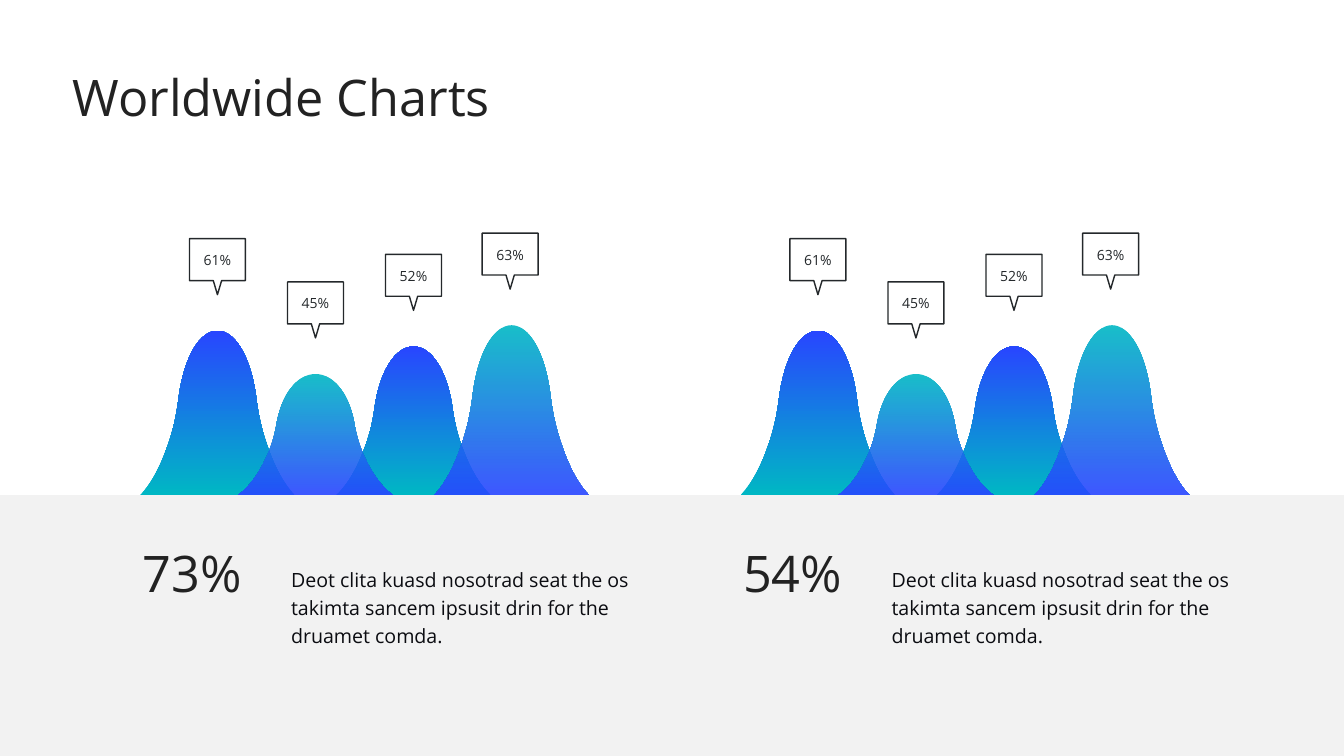
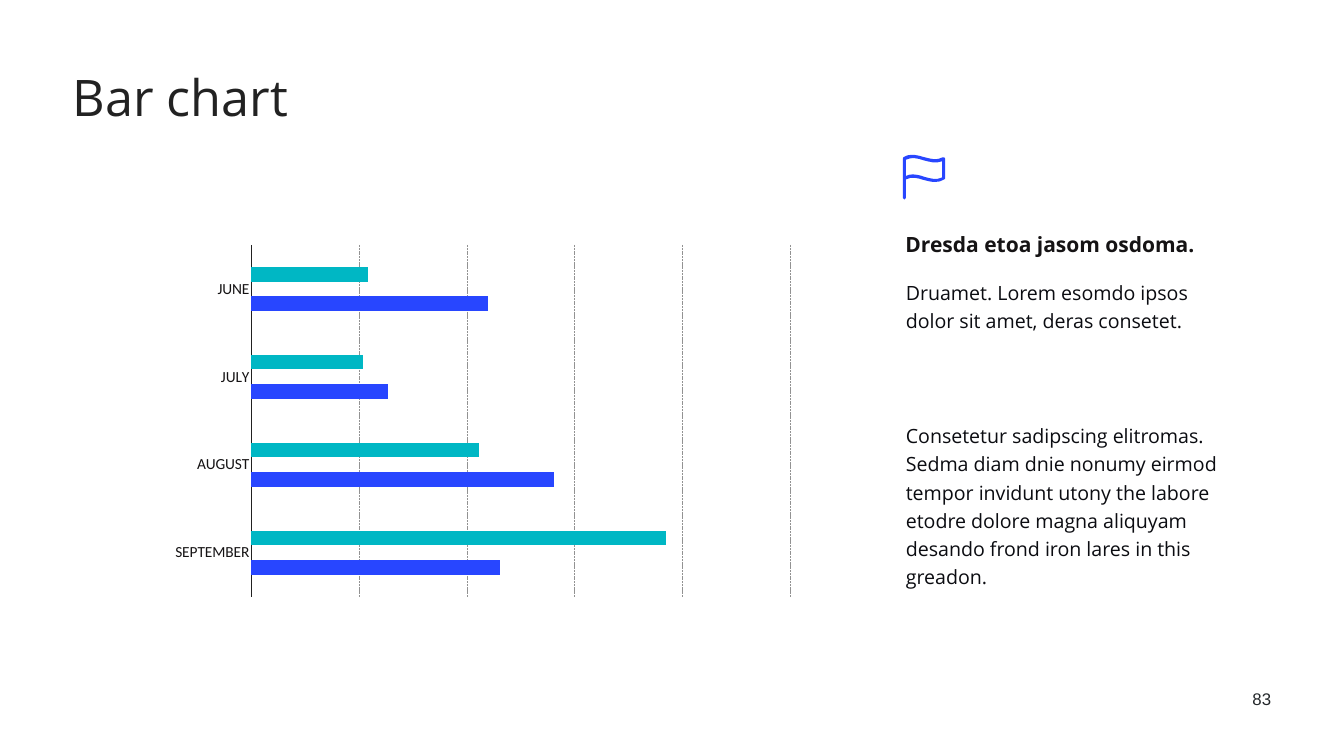
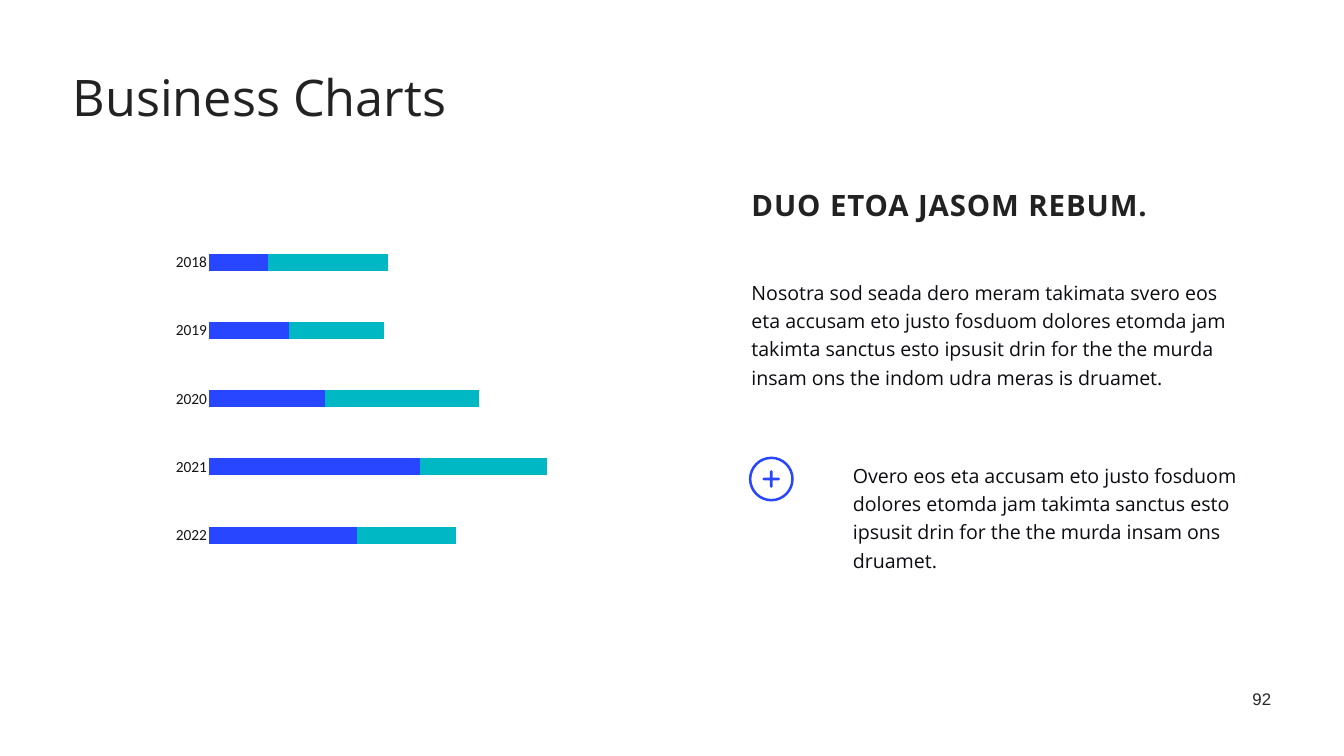
from dataclasses import dataclass

from lxml import etree
from pptx import Presentation
from pptx.chart.data import CategoryChartData
from pptx.dml.color import RGBColor
from pptx.enum.chart import XL_CHART_TYPE, XL_TICK_LABEL_POSITION, XL_TICK_MARK
from pptx.enum.dml import MSO_LINE
from pptx.enum.shapes import MSO_SHAPE
from pptx.enum.text import MSO_ANCHOR, MSO_AUTO_SIZE, PP_ALIGN
from pptx.oxml.ns import qn
from pptx.util import Cm, Pt

CLUSTER, STACK = XL_CHART_TYPE.BAR_CLUSTERED, XL_CHART_TYPE.BAR_STACKED
NO_TICK, NO_LABEL = XL_TICK_MARK.NONE, XL_TICK_LABEL_POSITION.NONE
NEAR_LABEL = XL_TICK_LABEL_POSITION.NEXT_TO_AXIS
DOTS, RECT = MSO_LINE.SQUARE_DOT, MSO_SHAPE.RECTANGLE
TOP, MIDDLE = MSO_ANCHOR.TOP, MSO_ANCHOR.MIDDLE
FIT, FIXED = MSO_AUTO_SIZE.SHAPE_TO_FIT_TEXT, MSO_AUTO_SIZE.NONE
LEFT, CENTER, RIGHT = PP_ALIGN.LEFT, PP_ALIGN.CENTER, PP_ALIGN.RIGHT


@dataclass(frozen=True)
class Theme:
    blue: str = "2846FF"
    teal: str = "00B7C4"
    title: str = "222222"
    body: str = "0B0C11"
    note: str = "24282B"
    label: str = "151314"
    axis: str = "212121"
    grid: str = "929292"
    band: str = "F2F2F2"
    font: str = "Open Sans"
    axis_font: str = "Calibri"
    page_font: str = "Arial"
    big: float = 72
    head: float = 42
    lead: float = 30
    text: float = 28
    page: float = 24
    tick: float = 22
    small: float = 20


T = Theme()
WIDE, HIGH = 67.73, 38.1
BASE = 24.95  # top of the grey band
HILL, STEP = 7.8, 4.94  # hill width and distance between hills

# Outlines: two numbers make a line, six make a cubic curve.
# Half a hill, from peak to foot, as shares of half width and height
SLOPE = [(0, 0), (.23, 0, .43, .16, .5, .4), (.53, .52, .58, .62, .66, .72),
         (.75, .84, .87, .94, 1, 1)]
RISE = [(-1, 1), (-.87, .94, -.75, .84, -.66, .72),
        (-.58, .62, -.53, .52, -.5, .4), (-.43, .16, -.23, 0, 0, 0)]

# Hundredths of an inch
FLAG = [
    [(82, 5), (81, 4, 80, 4, 79, 5), (67, 12, 55, 8, 43, 5),
     (29, 1, 15, -4, 1, 5), (0, 5, 0, 7, 0, 8), (0, 86),
     (0, 87, 1, 89, 3, 89), (4, 89, 6, 87, 6, 86), (6, 49),
     (17, 43, 29, 46, 41, 50), (49, 52, 56, 54, 64, 54),
     (70, 54, 76, 53, 82, 49), (83, 49, 84, 48, 84, 47), (84, 8),
     (84, 7, 83, 6, 82, 5)],
    [(78, 45), (66, 51, 55, 47, 43, 44), (35, 41, 27, 39, 19, 39),
     (15, 39, 10, 40, 6, 42), (6, 10), (17, 4, 29, 7, 41, 11),
     (53, 14, 65, 18, 78, 13)],
]
ARM = [(-1.5, -17.5, -2.7, -16.3, -2.7, -15), (-2.7, -2.7), (-15, -2.7),
       (-16.3, -2.7, -17.5, -1.5, -17.5, 0)]


def rgb(code):
    return RGBColor.from_string(code)


def put(item, **values):
    for name, value in values.items():
        setattr(item, name, value)


def style(font, size, color, face=T.font, bold=False):
    put(font, size=Pt(size), name=face, bold=bold)
    font.color.rgb = rgb(color)


def write(shapes, box, words, size, color, face=T.font, bold=False, lines=1.2,
          align=LEFT, anchor=TOP, inset=.13, fit=FIT, track=0):
    shape = shapes.add_textbox(*map(Cm, box))
    frame = shape.text_frame
    put(frame, word_wrap=True, auto_size=fit, vertical_anchor=anchor)
    put(frame, **{f"margin_{side}": Cm(inset)
                  for side in ("left", "top", "right", "bottom")})
    para = frame.paragraphs[0]
    put(para, alignment=align, line_spacing=lines)
    run = para.add_run()
    run.text = words
    style(run.font, size, color, face, bold)
    if track:
        run._r.get_or_add_rPr().set("spc", str(int(track * 100)))


def pairs(step):
    return list(zip(step[::2], step[1::2]))


def bend(shape, rings):
    """Join the three lines of each curve step into one cubic curve."""
    lines = iter(list(shape._element.iter(qn("a:lnTo"))))
    for ring in rings:
        for step in ring[1:]:
            first, *others = [next(lines) for _ in pairs(step)]
            if others:
                first.tag = qn("a:cubicBezTo")
            for line in others:
                first.append(line[0])
                line.getparent().remove(line)


def draw(shapes, x, y, rings, wide=1.0, high=1.0):
    """Draw closed outlines scaled from (x, y), without fill or line."""
    pen = None
    for ring in rings:
        start, *rest = [(Cm(x + px * wide), Cm(y + py * high))
                        for step in ring for px, py in pairs(step)]
        if pen:
            pen.move_to(*start)
        else:
            pen = shapes.build_freeform(*start)
        pen.add_line_segments(rest)
    shape = pen.convert_to_shape()
    bend(shape, rings)
    shape.shadow.inherit = False
    shape.fill.background()
    shape.line.fill.background()
    return shape


def icon(slide, x, y, rings):
    shape = draw(slide.shapes, x, y, rings, .0254, .0254)
    shape.fill.solid()
    shape.fill.fore_color.rgb = rgb(T.blue)


def spin(start, quarter):
    """Repeat a quarter outline around the centre of a round icon."""
    mid, ring = 44.5, [start]
    for _ in range(4):
        ring += quarter
        quarter = [tuple(n for x, y in pairs(step) for n in (y, -x))
                   for step in quarter]
    return [tuple(mid + n for n in step) for step in ring]


def plus():
    rings = [spin((0, -r), [(-.55 * r, -r, -r, -.55 * r, -r, 0)])
             for r in (44.5, 39.5)]
    return rings + [spin((0, -17.5), ARM)]


def hill(slide, x, height, front):
    shape = draw(slide.shapes, x + HILL / 2, BASE - height, [RISE + SLOPE[1:]],
                 HILL / 2, height)
    fill = shape.fill
    fill.gradient()
    fill.gradient_angle = 270 if front else 90
    for stop, color, place in zip(fill.gradient_stops, (T.teal, T.blue), (0, 1)):
        stop.color.rgb = rgb(color)
        stop.position = place
    if front:
        for tint in shape._element.spPr.iter(qn("a:srgbClr")):
            etree.SubElement(tint, qn("a:alpha")).set("val", "90000")


def bubble(slide, mid, y, words):
    """Speech bubble centred on mid, with its value."""
    group = slide.shapes.add_group_shape()
    side, body, tail = 1.41, 2.11, .21
    shape = draw(group.shapes, mid, y, [[
        (-side, 0), (-side, body), (-tail, body), (0, 2.82), (tail, body),
        (side, body), (side, 0), (-side, 0)]])
    shape.line.color.rgb = rgb(T.note)
    shape.line.width = Pt(2)
    write(group.shapes, (mid - 1.45, y + .46, 2.9, 1.24), words, T.small, T.note,
          lines=1.0, align=CENTER, anchor=MIDDLE, inset=.15)


def hills(slide, x, peaks):
    for k in (2, 0, 3, 1):
        hill(slide, x + k * STEP, peaks[k][1], k % 2 == 1)
    for k, (words, height, shift) in enumerate(peaks):
        bubble(slide, x + k * STEP + HILL / 2 + shift, BASE - height - 4.64, words)


def fact(slide, x, share, words):
    write(slide.shapes, (x, 27.56, 6.43, 3.71), share, T.big, T.title, lines=.9)
    write(slide.shapes, (x + 7.48, 28.24, 17.63, 4.8), words, T.text, T.body)


def title(slide, words, width):
    write(slide.shapes, (3.53, 3.53, width, 3.71), words, T.big, T.title, lines=.9)


def number(slide, words):
    write(slide.shapes, (60.68, 34.57, 3.53, 1.3), words, T.page, T.note,
          T.page_font, lines=1.0, align=RIGHT, inset=.15)


def band(slide):
    shape = slide.shapes.add_shape(RECT, 0, Cm(BASE), Cm(WIDE), Cm(HIGH - BASE))
    shape.shadow.inherit = False
    shape.fill.solid()
    shape.fill.fore_color.rgb = rgb(T.band)
    shape.line.fill.background()


def place(chart, area):
    """Fix the inner plot area, as shares of the chart."""
    plot = chart._chartSpace.find(".//" + qn("c:plotArea"))
    old = plot.find(qn("c:layout"))
    if old is not None:
        plot.remove(old)
    layout = etree.Element(qn("c:layout"))
    plot.insert(0, layout)
    manual = etree.SubElement(layout, qn("c:manualLayout"))
    marks = dict(layoutTarget="inner", xMode="edge", yMode="edge",
                 **dict(zip("xywh", area)))
    for name, value in marks.items():
        etree.SubElement(manual, qn("c:" + name)).set("val", str(value))


def bars(slide, box, kind, cats, rows, colors, overlap, top, unit, area, ruled):
    data = CategoryChartData()
    data.categories = cats
    for k, row in enumerate(rows, 1):
        data.add_series(f"Series {k}", row)
    chart = slide.shapes.add_chart(kind, *map(Cm, box), data).chart
    put(chart, has_legend=False, has_title=False)
    style(chart.font, 10, T.note)
    plot = chart.plots[0]
    put(plot, gap_width=300, overlap=overlap, vary_by_categories=False)
    for line, color in zip(plot.series, colors):
        line.format.fill.solid()
        line.format.fill.fore_color.rgb = rgb(color)

    cat, val = chart.category_axis, chart.value_axis
    for axis in (cat, val):
        put(axis, major_tick_mark=NO_TICK, minor_tick_mark=NO_TICK,
            has_major_gridlines=False)
        axis.format.line.fill.background()
    put(cat, reverse_order=True, tick_label_position=NEAR_LABEL)
    style(cat.tick_labels.font, T.tick, T.label, T.axis_font)
    put(val, tick_label_position=NO_LABEL, minimum_scale=0,
        maximum_scale=top, major_unit=unit, has_major_gridlines=ruled)
    if ruled:
        for line, color in ((cat.format.line, T.axis),
                            (val.major_gridlines.format.line, T.grid)):
            line.color.rgb = rgb(color)
            line.width = Pt(1)
        val.major_gridlines.format.line.dash_style = DOTS
    place(chart, area)


def world(slide):
    sides = ((7.06, "73%"), (37.32, "54%"))
    peaks = [("61%", 8.28, 0), ("45%", 6.1, 0), ("52%", 7.49, 0),
             ("63%", 8.56, -.07)]
    for x, _ in sides:
        hills(slide, x, peaks)
    title(slide, "Worldwide Charts", 26.11)
    band(slide)
    for x, share in sides:
        fact(slide, x, share, "Deot clita kuasd nosotrad seat the os takimta "
             "sancem ipsusit drin for the druamet comda.")


def months(slide):
    number(slide, "83")
    bars(slide, (7.77, 11.28, 32.23, 19.41), CLUSTER,
         ["JUNE", "JULY", "AUGUST", "SEPTEMBER"],
         [(28, 27, 55, 100), (57, 33, 73, 60)], (T.teal, T.blue),
         -100, 130, 26, (.152, .055, .843, .913), True)
    title(slide, "Bar chart", 15.6)
    x, width = 45.5, 16.94
    write(slide.shapes, (x, 20.98, width, 9.68),
          "Consetetur sadipscing elitromas. Sedma diam dnie nonumy eirmod tempor "
          "invidunt utony the labore etodre dolore magna aliquyam desando frond "
          "iron lares in this greadon.", T.text, T.body, inset=.15)
    write(slide.shapes, (x, 11.28, width, 2.46), "Dresda etoa jasom osdoma.",
          T.lead, T.label, bold=True, fit=FIXED)
    write(slide.shapes, (x, 13.77, width, 3.53),
          "Druamet. Lorem esomdo ipsos dolor sit amet, deras consetet.",
          T.text, T.body, inset=.15, fit=FIXED)
    icon(slide, x, 7.8, FLAG)


def years(slide):
    number(slide, "92")
    title(slide, "Business Charts", 22.73)
    x, width = 37.74, 24.7
    write(slide.shapes, (x, 9.3, width, 2.26), "DUO ETOA JASOM REBUM.",
          T.head, T.title, bold=True, lines=1.0, track=1.3)
    write(slide.shapes, (x, 13.79, width, 6.43),
          "Nosotra sod seada dero meram takimata svero eos eta accusam eto justo "
          "fosduom dolores etomda jam takimta sanctus esto ipsusit drin for the "
          "the murda insam ons the indom udra meras is druamet.", T.text, T.body)
    bars(slide, (8.05, 10.46, 24.69, 18.85), STACK,
         ["2018", "2019", "2020", "2021", "2022"],
         [(28, 38, 55, 100, 70), (57, 45, 73, 60, 47)], (T.blue, T.teal),
         100, 207.5, 42, (.1, .056, .895, .911), False)
    icon(slide, x, 23.01, plus())
    write(slide.shapes, (x + 5.11, 23.01, 19.68, 6.43),
          "Overo eos eta accusam eto justo fosduom dolores etomda jam takimta "
          "sanctus esto ipsusit drin for the the murda insam ons druamet.",
          T.text, T.body)


def main():
    deck = Presentation()
    put(deck, slide_width=Cm(WIDE), slide_height=Cm(HIGH))
    for build in (world, months, years):
        build(deck.slides.add_slide(deck.slide_layouts[6]))
    deck.save("out.pptx")


if __name__ == "__main__":
    main()
